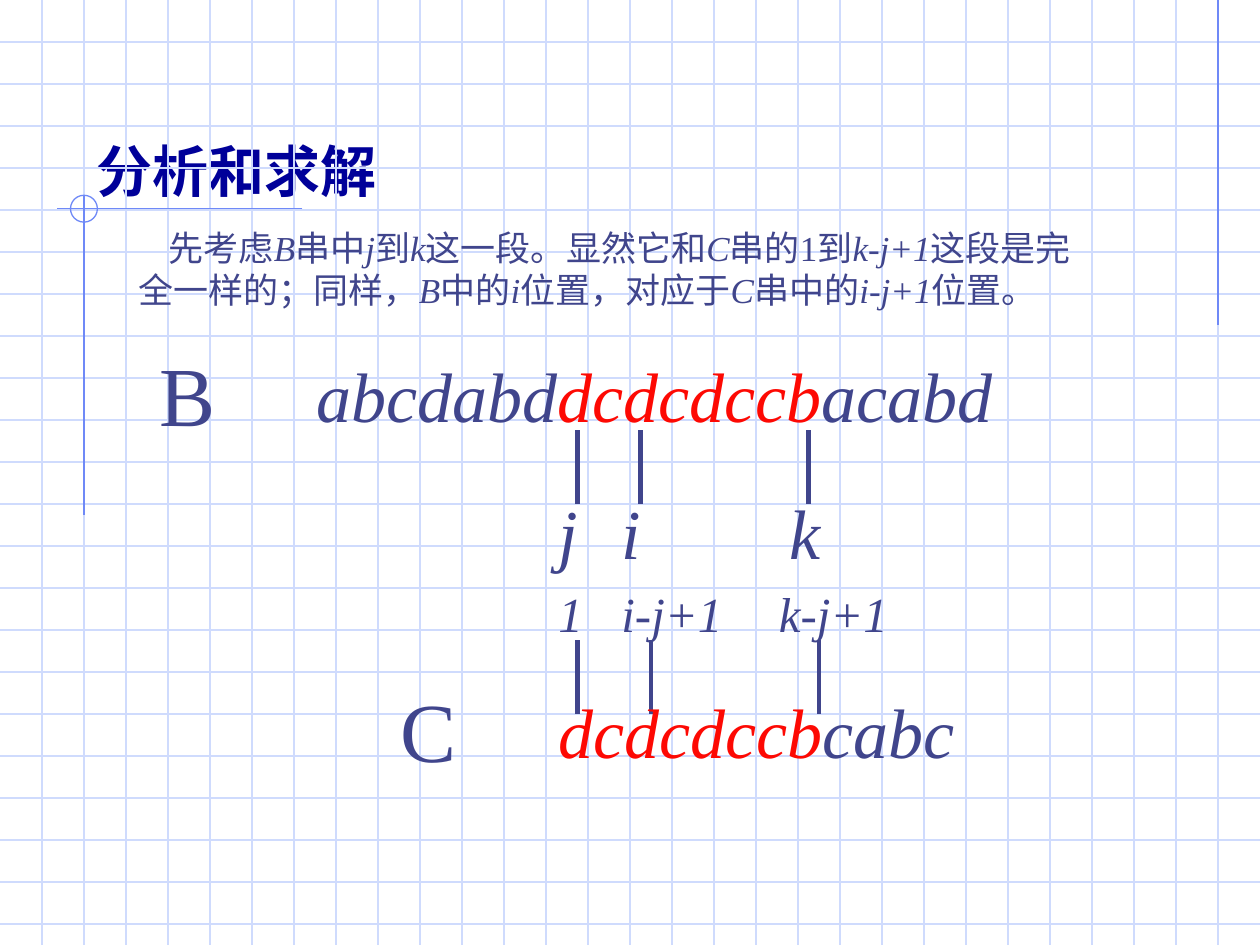
"""Build the string-matching analysis slide on a ruled grid."""
from lxml import etree
from pptx import Presentation
from pptx.dml.color import RGBColor
from pptx.enum.shapes import MSO_CONNECTOR, MSO_SHAPE
from pptx.enum.text import MSO_ANCHOR, PP_ALIGN
from pptx.oxml.ns import qn
from pptx.util import Inches, Pt

STRAIGHT = MSO_CONNECTOR.STRAIGHT
ARC = MSO_SHAPE.ARC
BOTTOM, LEFT = MSO_ANCHOR.BOTTOM, PP_ALIGN.LEFT
COLORS = {"grid": "CFDBFD", "accent": "6F89F7", "title": "000099",
          "ink": "40458C", "match": "FD0903"}
SERIF, SANS = "Times New Roman", "Lato"
COLUMNS, ROWS = 30, 22.5

deck = Presentation()
deck.slide_width, deck.slide_height = Inches(10), Inches(7.5)
CELL = deck.slide_width / COLUMNS
slide = deck.slides.add_slide(deck.slide_layouts[5])


def rule(x1, y1, x2, y2, color, width=0.75):
    line = slide.shapes.add_connector(
        STRAIGHT, *(round(v * CELL) for v in (x1, y1, x2, y2)))
    line.line.color.rgb = RGBColor.from_string(COLORS[color])
    line.line.width = Pt(width)
    etree.SubElement(line._element.spPr, qn("a:effectLst"))


def write(holder, column, row, width, height, size, runs, font=SERIF):
    holder.left, holder.top, holder.width, holder.height = (
        round(v * CELL) for v in (column, row, width, height))
    frame = holder.text_frame
    frame.word_wrap = True
    paragraph = frame.paragraphs[0]
    paragraph.alignment = LEFT
    for text, color, italic in runs:
        run = paragraph.add_run()
        run.text = text
        run.font.size, run.font.name = Pt(size), font
        run.font.italic = italic
        run.font.color.rgb = RGBColor.from_string(COLORS[color])
        asian = etree.SubElement(run._r.get_or_add_rPr(), qn("a:ea"))
        asian.set("typeface", SANS)
    return paragraph


for row in range(1, 23):
    rule(0, row, COLUMNS, row, "grid")
for column in range(1, COLUMNS):
    rule(column, 0, column, ROWS, "grid")

rule(29, 0, 29, 7.75, "accent")
rule(7.2, 4.97, 1.35, 4.97, "accent")
rule(2, 4.65, 2, 12.27, "accent")
ring = slide.shapes.add_shape(
    ARC, *(round(v * CELL) for v in (1.68, 4.65, 0.64, 0.64)))
ring.adjustments[0], ring.adjustments[1] = 0, -90
ring.shadow.inherit = False
ring.fill.background()
ring.line.color.rgb = RGBColor.from_string(COLORS["accent"])
ring.line.width = Pt(0.75)

title = slide.shapes.title
heading = write(title, 2, 1.25, 25.83, 3.75, 32,
                [("分析和求解", "title", False)], SANS)
title.text_frame.vertical_anchor = BOTTOM
heading.runs[0].font.bold = True

explanation = ["先考虑", "B", "串中", "j", "到", "k", "这一段。显然它和", "C",
               "串的1到", "k-j+1", "这段是完全一样的；同样，", "B", "中的", "i",
               "位置，对应于", "C", "串中的", "i-j+1", "位置。"]
body = write(slide.shapes.add_textbox(0, 0, 0, 0), 3, 5.25, 23.25, 3.3, 20,
             [(text, "ink", order % 2 == 1)
              for order, text in enumerate(explanation)])
body._p.get_or_add_pPr().set("indent", str(Inches(0.24)))

for row, ticks in ((10.25, (13.75, 15.25, 19.25)), (15.25, (13.75, 15.5, 19.5))):
    for column in ticks:
        rule(column, row, column, row + 1.75, "ink", 2.75)

shared = ("dcdcdccb", "match", True)
labels = [
    (3.5, 8, 3.25, 2.7, 48, [("B", "ink", False)]),
    (7.25, 8.25, 17.25, 2.3, 40,
     [("abcdabd", "ink", True), shared, ("acabd", "ink", True)]),
    (13, 11.5, 1.5, 2.3, 40, [("j", "ink", True)]),
    (14.5, 11.5, 1.5, 2.3, 40, [("i", "ink", True)]),
    (18.5, 11.5, 1.5, 2.3, 40, [("k", "ink", True)]),
    (13, 13.75, 1.5, 1.7, 28, [("1", "ink", True)]),
    (14.5, 13.75, 5.5, 1.7, 28, [("i-j+1", "ink", True)]),
    (18.25, 13.75, 3.75, 1.7, 28, [("k-j+1", "ink", True)]),
    (9.25, 16, 3.25, 2.7, 48, [("C", "ink", False)]),
    (13, 16.25, 14, 2.3, 40, [shared, ("cabc", "ink", True)]),
]
for label in labels:
    write(slide.shapes.add_textbox(0, 0, 0, 0), *label)

deck.save("out.pptx")
